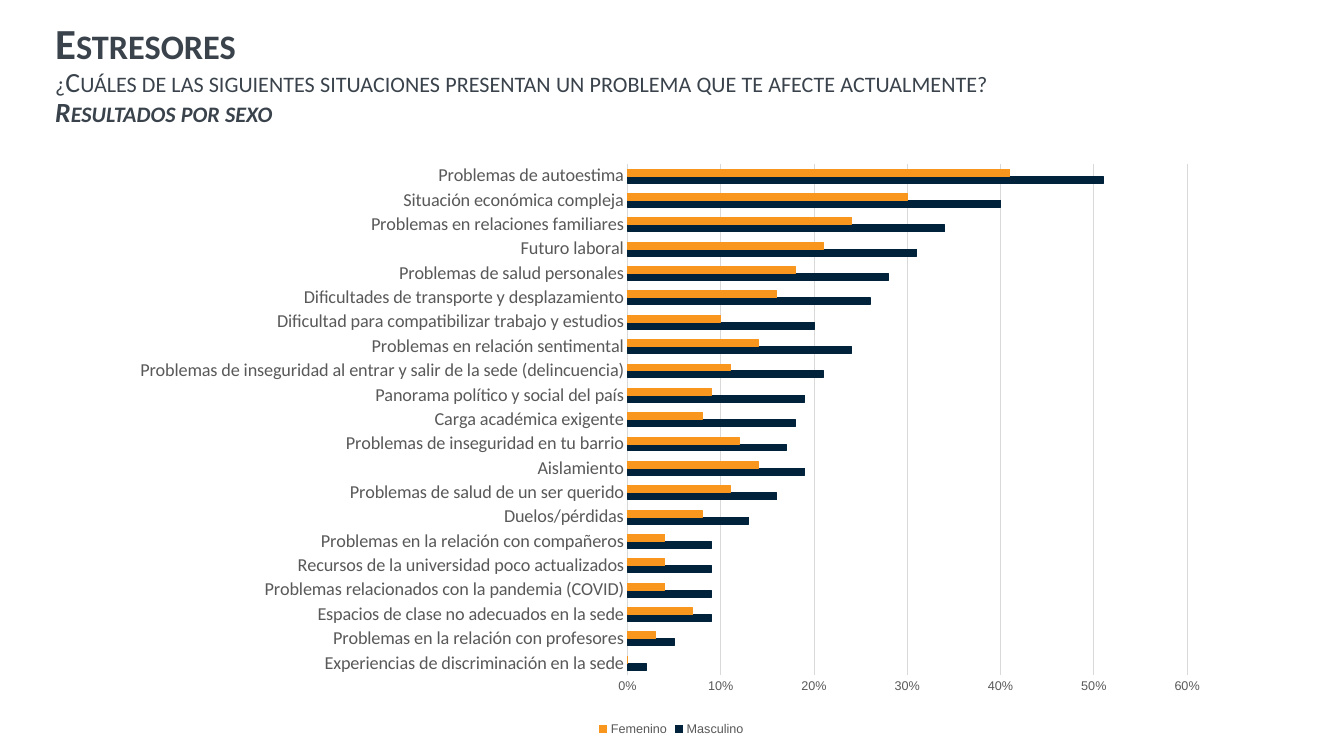
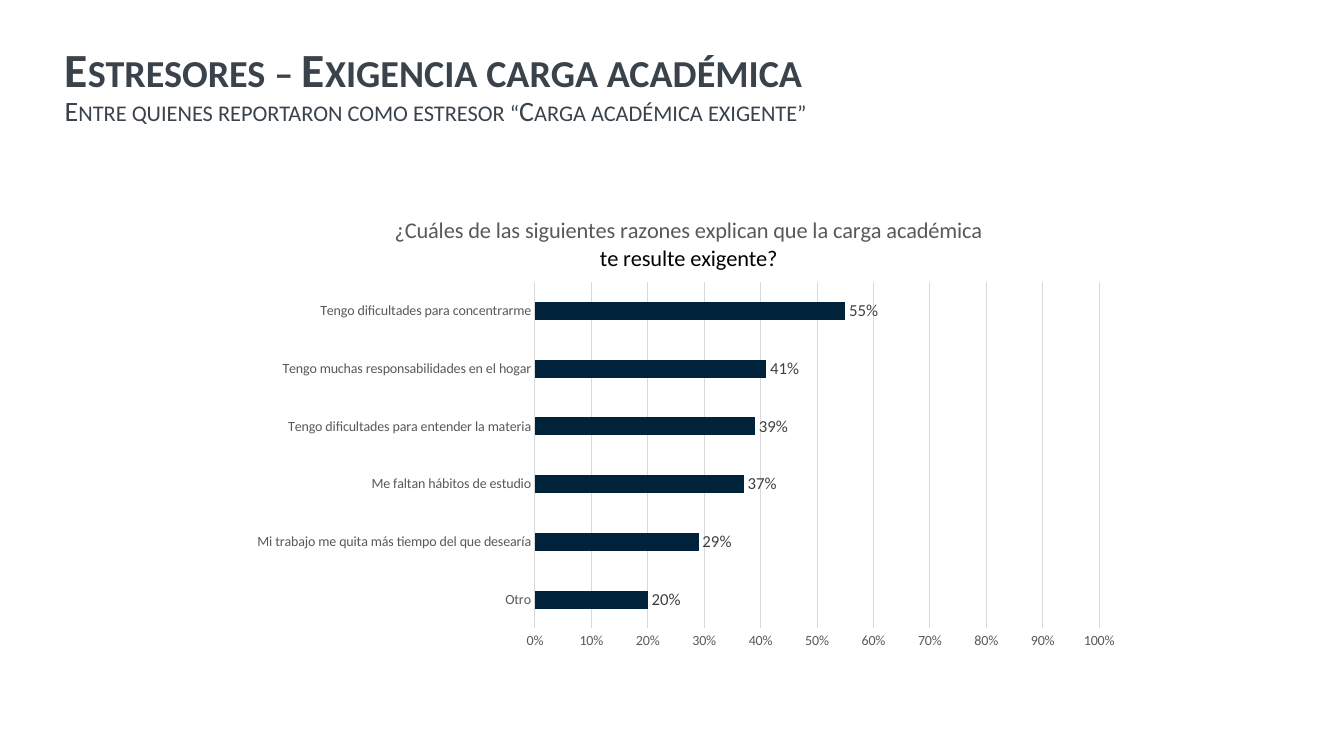
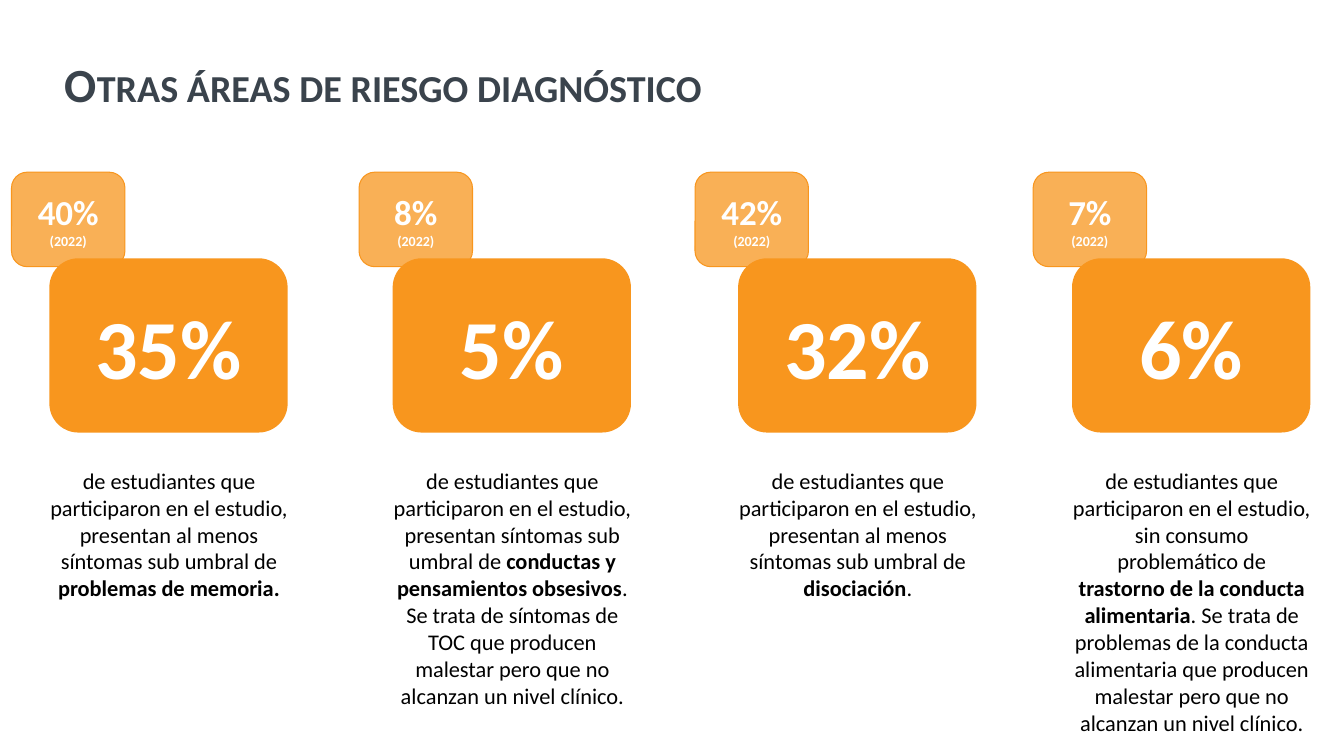
import pptx
import pptx.chart.data
import pptx.dml.color
import pptx.enum.chart
import pptx.enum.shapes
import pptx.enum.text
import pptx.oxml
import pptx.oxml.ns
import pptx.util

PX = 9525
NAVY = pptx.dml.color.RGBColor(0x00, 0x22, 0x3A)
ORANGE = pptx.dml.color.RGBColor(0xF8, 0x96, 0x1E)
SLATE = pptx.dml.color.RGBColor(0x3A, 0x43, 0x4C)
GRAY = pptx.dml.color.RGBColor(0x59, 0x59, 0x59)
DARK_GRAY = pptx.dml.color.RGBColor(0x40, 0x40, 0x40)
GRID = pptx.dml.color.RGBColor(0xD9, 0xD9, 0xD9)
BLACK = pptx.dml.color.RGBColor(0, 0, 0)
WHITE = pptx.dml.color.RGBColor(255, 255, 255)
CENTER = pptx.enum.text.PP_ALIGN.CENTER
MIDDLE = pptx.enum.text.MSO_ANCHOR.MIDDLE


def style_font(font, size, color, bold=False, italic=False, name="Calibri"):
    font.name = name
    font.size = pptx.util.Pt(size)
    font.color.rgb = color
    font.bold = bold
    font.italic = italic


def set_layout(element, fractions):
    """Place a chart part by fractions of the chart's size."""
    layout = element.find(pptx.oxml.ns.qn("c:layout"))
    if layout is None:
        layout = pptx.oxml.parse_xml("<c:layout %s/>" % pptx.oxml.ns.nsdecls("c"))
        element.insert(0, layout)
    manual = layout.makeelement(pptx.oxml.ns.qn("c:manualLayout"))
    layout.append(manual)
    settings = [("xMode", "edge"), ("yMode", "edge")] + list(zip("xywh", fractions))
    if len(fractions) == 4:
        settings.insert(0, ("layoutTarget", "inner"))
    for tag, value in settings:
        setting = manual.makeelement(pptx.oxml.ns.qn("c:" + tag))
        setting.set("val", str(value))
        manual.append(setting)


presentation = pptx.Presentation()
presentation.slide_width = 1280 * PX
presentation.slide_height = 720 * PX

# Titles: left, top and lines of (text, size, bold, italic)
titles = [
    (43, 27, [
        ("Estresores", 30.6, True, False),
        ("¿Cuáles de las siguientes situaciones presentan un problema que te afecte actualmente?",
         19.8, False, False),
        ("Resultados por sexo", 19.8, True, True),
    ]),
    (52, 38, [
        ("Estresores – Exigencia carga académica", 34, True, False),
        ("Entre quienes reportaron como estresor “Carga académica exigente”", 20, False, False),
    ]),
    (52, 38, [("Otras áreas de riesgo diagnóstico", 34, True, False)]),
]
slides = []
for left, top, lines in titles:
    slide = presentation.slides.add_slide(presentation.slide_layouts[5])
    slides.append(slide)
    title = slide.shapes.title
    title.left, title.top, title.width, title.height = [
        value * PX for value in (left, top, 1222, 90)]
    frame = title.text_frame
    frame.text = "\n".join(line[0] for line in lines)
    frame.auto_size = pptx.enum.text.MSO_AUTO_SIZE.NONE
    frame.vertical_anchor = MIDDLE
    for paragraph, (text, size, bold, italic) in zip(frame.paragraphs, lines):
        paragraph.alignment = pptx.enum.text.PP_ALIGN.LEFT
        paragraph.line_spacing = 0.9
        paragraph.space_before = pptx.util.Pt(0)
        style_font(paragraph.runs[0].font, size, SLATE, bold, italic)
        paragraph.runs[0].font._element.set("cap", "small")

# Chart data, from the lowest bar up
stressors = [
    ("Experiencias de discriminación en la sede", 0.02, 0),
    ("Problemas en la relación con profesores", 0.05, 0.03),
    ("Espacios de clase no adecuados en la sede", 0.09, 0.07),
    ("Problemas relacionados con la pandemia (COVID)", 0.09, 0.04),
    ("Recursos de la universidad poco actualizados", 0.09, 0.04),
    ("Problemas en la relación con compañeros", 0.09, 0.04),
    ("Duelos/pérdidas", 0.13, 0.08),
    ("Problemas de salud de un ser querido", 0.16, 0.11),
    ("Aislamiento", 0.19, 0.14),
    ("Problemas de inseguridad en tu barrio", 0.17, 0.12),
    ("Carga académica exigente", 0.18, 0.08),
    ("Panorama político y social del país", 0.19, 0.09),
    ("Problemas de inseguridad al entrar y salir de la sede (delincuencia)", 0.21, 0.11),
    ("Problemas en relación sentimental", 0.24, 0.14),
    ("Dificultad para compatibilizar trabajo y estudios", 0.2, 0.1),
    ("Dificultades de transporte y desplazamiento", 0.26, 0.16),
    ("Problemas de salud personales", 0.28, 0.18),
    ("Futuro laboral", 0.31, 0.21),
    ("Problemas en relaciones familiares", 0.34, 0.24),
    ("Situación económica compleja", 0.4, 0.3),
    ("Problemas de autoestima", 0.51, 0.41),
]
reasons = [
    ("Otro", 0.2),
    ("Mi trabajo me quita más tiempo del que desearía", 0.29),
    ("Me faltan hábitos de estudio", 0.37),
    ("Tengo dificultades para entender la materia", 0.39),
    ("Tengo muchas responsabilidades en el hogar", 0.41),
    ("Tengo dificultades para concentrarme", 0.55),
]

# Bar charts: rows, series names, box, plot area, axis maximum, gap,
# category size, value size, value font
chart_settings = [
    (stressors, ["Masculino", "Femenino"], (117, 145, 1045, 560),
     (0.46, 0.02, 0.51, 0.87), 0.6, 150, 13, 9, "Arial"),
    (reasons, ["Series 1"], (228, 185, 853, 440),
     (0.33, 0.19, 0.63, 0.75), 1, 219, 10, 10, "Calibri"),
]
charts = []
for slide, settings in zip(slides, chart_settings):
    rows, names, box, plot_area, maximum, gap, category_size, value_size, value_font = settings
    data = pptx.chart.data.CategoryChartData(number_format="0%")
    data.categories = [row[0] for row in rows]
    for column, name in enumerate(names, 1):
        data.add_series(name, [row[column] for row in rows])
    chart = slide.shapes.add_chart(
        pptx.enum.chart.XL_CHART_TYPE.BAR_CLUSTERED,
        *[value * PX for value in box], data).chart
    charts.append(chart)
    chart.has_title = False
    chart.has_legend = False
    style_font(chart.font, 10, BLACK, name="Arial")
    set_layout(chart._chartSpace.chart.plotArea, plot_area)

    plot = chart.plots[0]
    plot.gap_width = gap
    plot.overlap = 0
    plot.vary_by_categories = False
    for series, color in zip(plot.series, (NAVY, ORANGE)):
        series.format.fill.solid()
        series.format.fill.fore_color.rgb = color
        series.invert_if_negative = False

    category_axis, value_axis = chart.category_axis, chart.value_axis
    for axis in (category_axis, value_axis):
        axis.major_tick_mark = pptx.enum.chart.XL_TICK_MARK.NONE
        axis.minor_tick_mark = pptx.enum.chart.XL_TICK_MARK.NONE
    style_font(category_axis.tick_labels.font, category_size, GRAY)
    style_font(value_axis.tick_labels.font, value_size, GRAY, name=value_font)
    value_axis.minimum_scale = 0
    value_axis.maximum_scale = maximum
    value_axis.major_unit = 0.1
    value_axis.tick_labels.number_format = "0%"
    value_axis.tick_labels.number_format_is_linked = False
    value_axis.format.line.fill.background()
    for line in (category_axis.format.line, value_axis.major_gridlines.format.line):
        line.color.rgb = GRID
        line.width = pptx.util.Pt(0.75)

# Stressors chart: outlined bars and a legend
stressor_chart, reason_chart = charts
for series, color in zip(stressor_chart.plots[0].series, (NAVY, ORANGE)):
    series.format.line.color.rgb = color
    series.format.line.width = pptx.util.Pt(0.75)
stressor_chart.has_legend = True
stressor_chart.legend.position = pptx.enum.chart.XL_LEGEND_POSITION.BOTTOM
stressor_chart.legend.include_in_layout = False
style_font(stressor_chart.legend.font, 9, GRAY, name="Arial")

# Reasons chart: a title and value labels
chart_title = reason_chart.chart_title
chart_title.text_frame.text = (
    "¿Cuáles de las siguientes razones explican que la carga académica\nte resulte exigente?")
for paragraph, color in zip(chart_title.text_frame.paragraphs, (GRAY, BLACK)):
    style_font(paragraph.runs[0].font, 16, color)
set_layout(chart_title._element, (0.17, 0.04))
reason_chart.plots[0].has_data_labels = True
labels = reason_chart.plots[0].data_labels
labels.show_value = True
labels.position = pptx.enum.chart.XL_LABEL_POSITION.OUTSIDE_END
labels.number_format = "0%"
labels.number_format_is_linked = False
style_font(labels.font, 12, DARK_GRAY)

# Risk areas: card left, badge left, current share, 2022 share,
# description height and its plain, bold, plain parts
intro = "de estudiantes que participaron en el estudio, "
symptoms = "síntomas sub umbral de "
outcome = " que producen malestar pero que no alcanzan un nivel clínico."
risks = [
    (47, 11, "35%", "40%", 139,
     [intro + "presentan al menos " + symptoms, "problemas de memoria."]),
    (374, 342, "5%", "8%", 242,
     [intro + "presentan " + symptoms, "conductas y pensamientos obsesivos",
      ". Se trata de síntomas de TOC" + outcome]),
    (703, 662, "32%", "42%", 139,
     [intro + "presentan al menos " + symptoms, "disociación", "."]),
    (1021, 984, "6%", "7%", 268,
     [intro + "sin consumo problemático de ", "trastorno de la conducta alimentaria",
      ". Se trata de problemas de la conducta alimentaria" + outcome]),
]
shapes = slides[2].shapes
for card_left, badge_left, share, share_2022, height, parts in risks:
    # Card and badge
    boxes = [
        ((card_left, 246, 227, 166), [(share, 60)]),
        ((badge_left, 164, 108, 90), [(share_2022, 25), ("(2022)", 10)]),
    ]
    for box, lines in boxes:
        shape = shapes.add_shape(
            pptx.enum.shapes.MSO_SHAPE.ROUNDED_RECTANGLE, *[value * PX for value in box])
        shape.shadow.inherit = False
        shape.fill.solid()
        shape.fill.fore_color.rgb = ORANGE
        shape.line.fill.background()
        frame = shape.text_frame
        frame.vertical_anchor = MIDDLE
        frame.text = "\n".join(line[0] for line in lines)
        for paragraph, (text, size) in zip(frame.paragraphs, lines):
            paragraph.alignment = CENTER
            style_font(paragraph.runs[0].font, size, WHITE, bold=True)
    # The badge, added last, is outlined and see-through
    shape.line.color.rgb = ORANGE
    shape.line.width = pptx.util.Pt(0.75)
    fill_color = shape._element.spPr.find(
        pptx.oxml.ns.qn("a:solidFill")).find(pptx.oxml.ns.qn("a:srgbClr"))
    alpha = fill_color.makeelement(pptx.oxml.ns.qn("a:alpha"))
    alpha.set("val", "75000")
    fill_color.append(alpha)

    # Description
    description = shapes.add_textbox(
        *[value * PX for value in (card_left - 9, 440, 246, height)])
    frame = description.text_frame
    frame.word_wrap = True
    frame.auto_size = pptx.enum.text.MSO_AUTO_SIZE.SHAPE_TO_FIT_TEXT
    paragraph = frame.paragraphs[0]
    paragraph.alignment = CENTER
    for index, part in enumerate(parts):
        run = paragraph.add_run()
        run.text = part
        style_font(run.font, 16, BLACK, bold=index == 1)

presentation.save("out.pptx")
